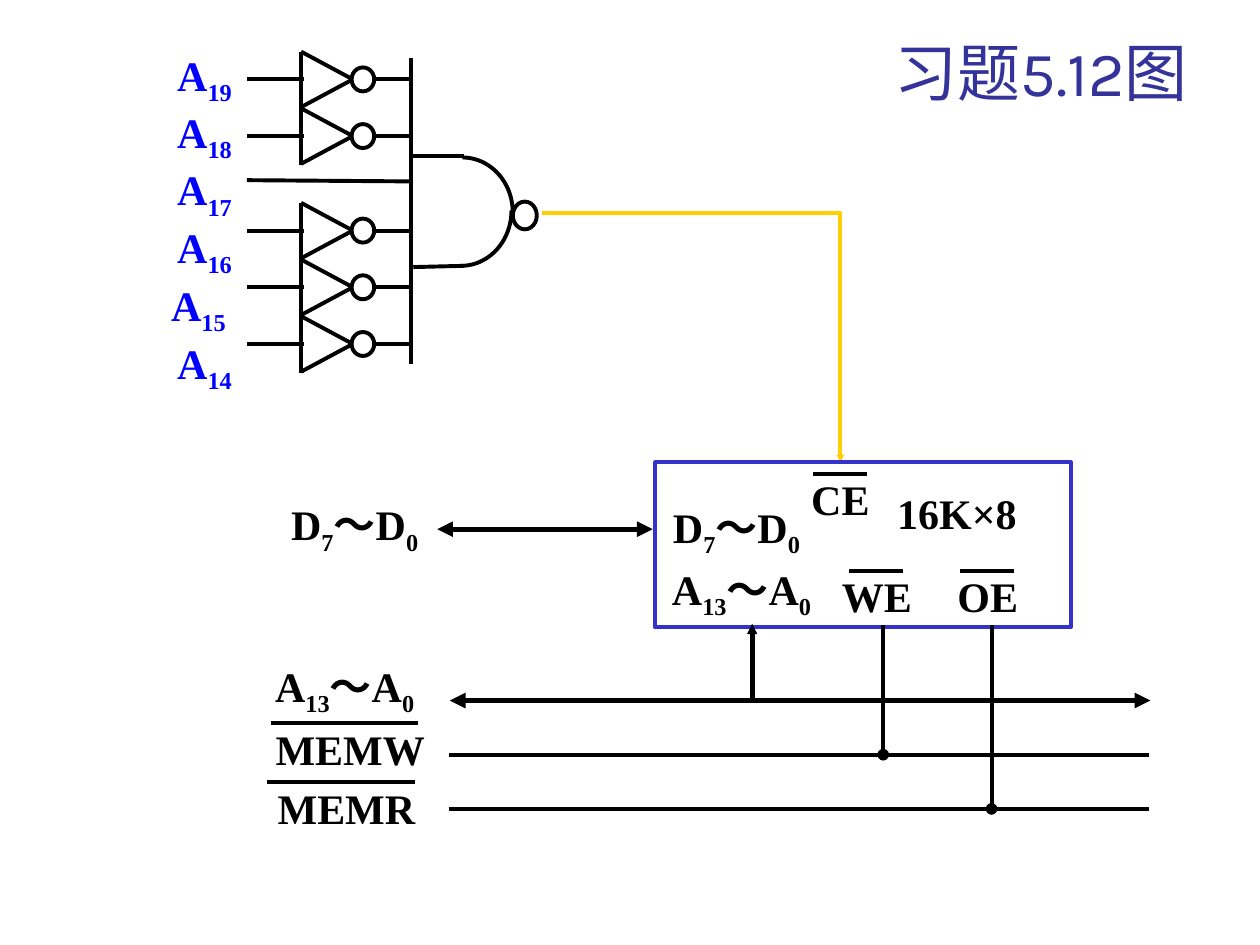
import pptx
import pptx.dml.color
import pptx.enum.shapes
import pptx.enum.text
import pptx.oxml
import pptx.oxml.ns
import pptx.util

Inches = pptx.util.Inches
Pt = pptx.util.Pt
SHAPE = pptx.enum.shapes.MSO_SHAPE
ALIGN = pptx.enum.text.PP_ALIGN
BLACK = "000000"


def color(hex_string):
    return pptx.dml.color.RGBColor.from_string(hex_string)


def style_line(line, hex_string=BLACK, width=2.25):
    line.color.rgb = color(hex_string)
    line.width = Pt(width)


def add_line_end(line, end, kind, size="med"):
    """Put an arrowhead or dot on the 'headEnd' or 'tailEnd' of a line."""
    namespace = pptx.oxml.ns.nsdecls("a")
    line._get_or_add_ln().append(pptx.oxml.parse_xml(
        f'<a:{end} {namespace} type="{kind}" w="{size}" len="{size}"/>'))


def add_line(slide, x1, y1, x2, y2, width=2.25, head=None, tail=None, size="med"):
    connector = slide.shapes.add_connector(
        pptx.enum.shapes.MSO_CONNECTOR.STRAIGHT,
        Inches(x1), Inches(y1), Inches(x2), Inches(y2))
    style_line(connector.line, width=width)
    if head:
        add_line_end(connector.line, "headEnd", head, size)
    if tail:
        add_line_end(connector.line, "tailEnd", tail, size)
    connector._element.spPr.append(
        pptx.oxml.parse_xml(f'<a:effectLst {pptx.oxml.ns.nsdecls("a")}/>'))


def add_outline(slide, kind, left, top, width, height, line=BLACK, fill=None):
    shape = slide.shapes.add_shape(
        kind, Inches(left), Inches(top), Inches(width), Inches(height))
    shape.shadow.inherit = False
    if fill:
        shape.fill.solid()
        shape.fill.fore_color.rgb = color(fill)
    else:
        shape.fill.background()
    style_line(shape.line, line)
    return shape


def write_signal(paragraph, pieces, hex_string, alignment):
    """Write pieces that are in turn normal text and subscript."""
    paragraph.alignment = alignment
    for index, piece in enumerate(pieces):
        run = paragraph.add_run()
        run.text = piece
        run.font.name = "Times New Roman"
        run.font.size = Pt(24)
        run.font.bold = True
        run.font.color.rgb = color(hex_string)
        if index % 2:
            run._r.get_or_add_rPr().set("baseline", "-25000")


def add_text_frame(slide, left, top, width, height):
    box = slide.shapes.add_textbox(
        Inches(left), Inches(top), Inches(width), Inches(height))
    frame = box.text_frame
    frame.word_wrap = True
    frame.margin_left = frame.margin_right = Inches(0.01)
    frame.margin_top = frame.margin_bottom = Inches(0.01)
    return frame


def add_label(slide, pieces, left, top, width, height):
    frame = add_text_frame(slide, left, top, width, height)
    write_signal(frame.paragraphs[0], pieces, BLACK, ALIGN.CENTER)


def add_active_low_label(slide, name, left, top, width, height, bar_left, bar_width):
    add_label(slide, [name], left, top, width, height)
    add_line(slide, bar_left, top + 0.01, bar_left + bar_width, top + 0.01)


def add_address_labels(slide):
    frame = add_text_frame(slide, 1.06, 0.38, 0.79, 2.6)
    for index, number in enumerate(["19", "18", "17", "16", "15 ", "14"]):
        paragraph = frame.add_paragraph() if index else frame.paragraphs[0]
        if index >= 4:
            paragraph.space_before = Pt(0.4)
        write_signal(paragraph, ["A", number], "0000FF", ALIGN.RIGHT)


def add_inverter(slide, y):
    add_line(slide, 2.41, y, 1.96, y)
    add_outline(slide, SHAPE.OVAL, 2.79, y - 0.095, 0.18, 0.19, fill="FFFFFF")
    add_line(slide, 2.39, y - 0.22, 2.39, y + 0.23)
    add_line(slide, 2.8, y, 2.39, y - 0.22)
    add_line(slide, 2.8, y, 2.39, y + 0.22)
    add_line(slide, 3.26, y, 2.98, y)


def add_nand_gate(slide):
    add_line(slide, 3.26, 0.46, 3.26, 2.89)
    add_outline(slide, SHAPE.OVAL, 4.07, 1.6, 0.19, 0.22)
    add_outline(slide, SHAPE.ARC, 3.27, 1.25, 0.8, 0.87)
    lower_arc = add_outline(slide, SHAPE.ARC, 3.26, 1.23, 0.8, 0.88)
    lower_arc.adjustments[0] = 0
    lower_arc.adjustments[1] = 54  # 90 degrees
    add_line(slide, 3.68, 2.11, 3.28, 2.12)
    add_line(slide, 3.68, 1.24, 3.28, 1.24)


def add_select_wire(slide):
    builder = slide.shapes.build_freeform(Inches(4.3), Inches(1.69))
    builder.add_line_segments(
        [(Inches(6.67), Inches(1.69)), (Inches(6.67), Inches(3.67))], close=False)
    wire = builder.convert_to_shape()
    wire.shadow.inherit = False
    wire.fill.background()
    style_line(wire.line, "FFCF01")
    add_line_end(wire.line, "tailEnd", "triangle", "sm")


def add_title(slide):
    title = slide.shapes.title
    title.left, title.top = Inches(7), Inches(0)
    title.width, title.height = Inches(3), Inches(0.92)
    frame = title.text_frame
    frame.text = "习题5.12图"
    frame.auto_size = pptx.enum.text.MSO_AUTO_SIZE.NONE
    frame.vertical_anchor = pptx.enum.text.MSO_ANCHOR.BOTTOM
    paragraph = frame.paragraphs[0]
    paragraph.alignment = ALIGN.LEFT
    for run in paragraph.runs:
        run.font.name = "Karla"
        run.font.size = Pt(36)
        run.font.color.rgb = color("333399")


def add_memory_chip(slide):
    add_outline(slide, SHAPE.RECTANGLE, 5.2, 3.67, 3.3, 1.31, line="3333CC")
    add_label(slide, ["16K×8"], 6.94, 3.86, 1.31, 0.5)
    for name, left, top, bar_left in [
            ("CE", 6.14, 3.75, 6.45), ("WE", 6.43, 4.52, 6.74), ("OE", 7.31, 4.52, 7.62)]:
        add_active_low_label(slide, name, left, top, 1.06, 0.41, bar_left, 0.43)


def add_buses(slide):
    data_range = ["D", "7", "～D", "0"]
    address_range = ["A", "13", "～A", "0"]
    for left, top in [(2.07, 3.95), (5.1, 3.97)]:
        add_label(slide, data_range, left, top, 1.49, 0.5)
    for left, top in [(1.99, 5.23), (5.14, 4.46)]:
        add_label(slide, address_range, left, top, 1.49, 0.47)
    add_line(slide, 3.47, 4.2, 5.18, 4.2, 3, "triangle", "triangle")
    add_line(slide, 3.57, 5.56, 9.13, 5.56, 3, "triangle", "triangle")
    add_line(slide, 5.97, 5.56, 5.97, 4.95, 3, tail="triangle", size="sm")


def add_control_lines(slide):
    for name, left, top, bar_left, wire_y, pin_x in [
            ("MEMW", 1.96, 5.73, 2.15, 5.99, 7.01),
            ("MEMR", 1.93, 6.2, 2.12, 6.42, 7.87)]:
        add_active_low_label(slide, name, left, top, 1.64, 0.39, bar_left, 1.17)
        add_line(slide, 3.56, wire_y, 9.12, wire_y)
        add_line(slide, pin_x, 4.96, pin_x, wire_y, tail="oval")


def main():
    presentation = pptx.Presentation()
    presentation.slide_width = Inches(10)
    presentation.slide_height = Inches(7.5)
    slide = presentation.slides.add_slide(presentation.slide_layouts[5])
    add_title(slide)
    add_select_wire(slide)
    add_nand_gate(slide)
    add_address_labels(slide)
    add_line(slide, 3.26, 1.44, 1.96, 1.43)
    add_memory_chip(slide)
    add_buses(slide)
    add_control_lines(slide)
    for y in [0.63, 1.08, 1.83, 2.28, 2.73]:
        add_inverter(slide, y)
    presentation.save("out.pptx")


if __name__ == "__main__":
    main()
